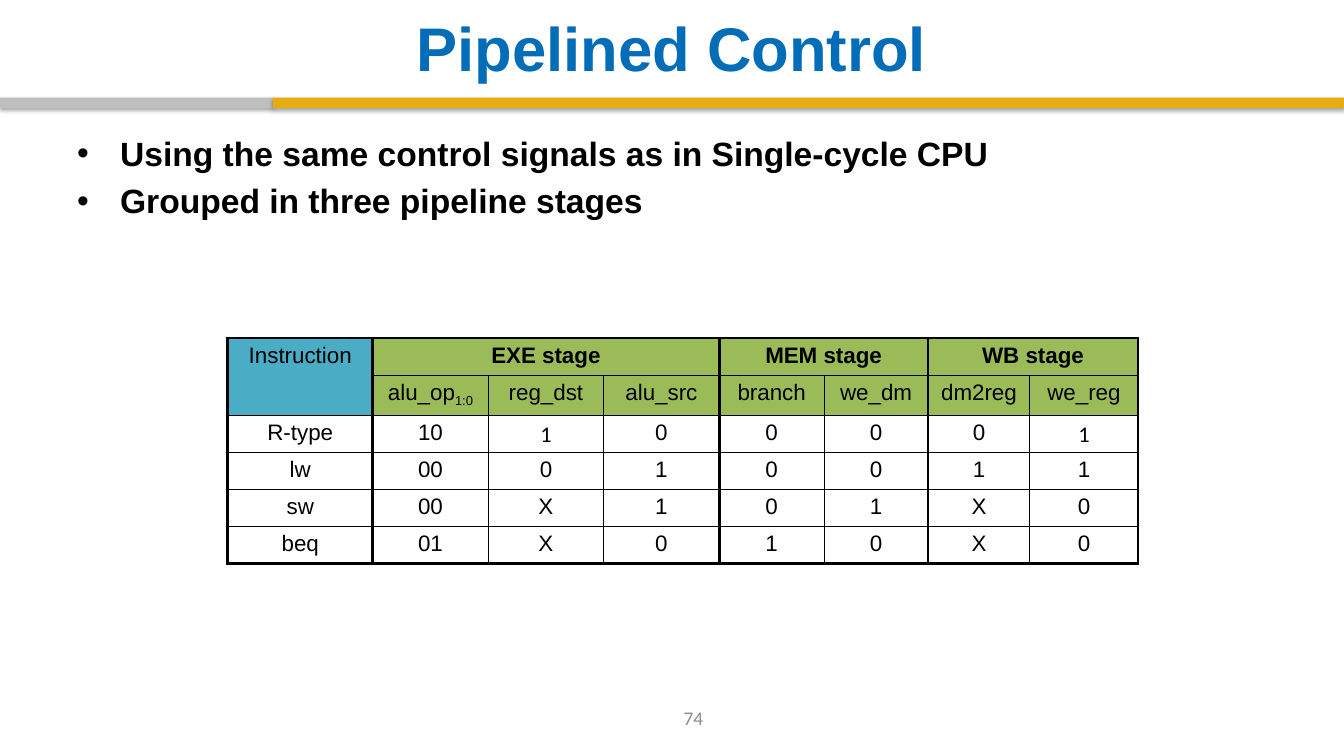
"""Build the Pipelined Control slide with its table of control signals."""
import lxml.etree
import pptx
import pptx.dml.color
import pptx.enum.shapes
import pptx.enum.text
import pptx.oxml
import pptx.oxml.ns
import pptx.util

EMU_PER_PX = 9525
BLUE, GOLD, GREY, BLACK = "036DB7", "E7AC11", "BFBFBF", "000000"
TEAL, GREEN, WHITE = "4BACC6", "9BBB59", "FFFFFF"
CENTER = pptx.enum.text.PP_ALIGN.CENTER
TOP = pptx.enum.text.MSO_ANCHOR.TOP
MIDDLE = pptx.enum.text.MSO_ANCHOR.MIDDLE

TITLE_FONT = {"name": "Arial", "size": 44, "bold": True, "color": BLUE}
BODY_FONT = {"name": "Arial", "size": 24, "bold": True, "color": BLACK}
CELL_FONT = {"name": "Arial", "size": 16, "bold": False, "color": BLACK}
NUMBER_FONT = {"name": "Calibri", "size": 13.8, "color": "8C8C8C"}

STAGES = {"EXE stage": (1, 3), "MEM stage": (4, 5), "WB stage": (6, 7)}
SIGNALS = ["alu_op", "reg_dst", "alu_src", "branch", "we_dm", "dm2reg", "we_reg"]
INSTRUCTIONS = [
    ["R-type", "10", "1", "0", "0", "0", "0", "1"],
    ["lw", "00", "0", "1", "0", "0", "1", "1"],
    ["sw", "00", "X", "1", "0", "1", "X", "0"],
    ["beq", "01", "X", "0", "1", "0", "X", "0"],
]
CALIBRI_CELLS = {(2, 2), (2, 7)}
COLUMN_WIDTHS = [138, 110, 110, 110, 100, 99, 97, 103]
ROW_HEIGHT = 35
GROUP_STARTS = {0, 1, 4, 6, 8}
THIN, THICK = 0.75, 2.25


def px(*lengths):
    """Turn pixel lengths into EMU."""
    return [pptx.util.Emu(length * EMU_PER_PX) for length in lengths]


def set_color(target, value):
    """Give a fill or font a solid colour from a hex string."""
    fill = getattr(target, "fill", target)
    fill.solid()
    fill.fore_color.rgb = pptx.dml.color.RGBColor.from_string(value)


def add_run(paragraph, text, style):
    """Append a run that carries the format values of a style."""
    run = paragraph.add_run()
    run.text = text
    values = dict(style, size=pptx.util.Pt(style["size"]))
    set_color(run.font, values.pop("color"))
    for name, value in values.items():
        setattr(run.font, name, value)
    return run


def add_text(slide, box, lines, style, align=None, anchor=TOP):
    """Add a text box with one paragraph per line and return its paragraphs."""
    frame = slide.shapes.add_textbox(*px(*box)).text_frame
    frame.word_wrap = True
    frame.vertical_anchor = anchor
    for index, line in enumerate(lines):
        paragraph = frame.add_paragraph() if index else frame.paragraphs[0]
        paragraph.alignment = align
        add_run(paragraph, line, style)
    return frame.paragraphs


def add_bullets(slide, box, lines, style):
    """Add a bulleted list with hanging indents."""
    (indent,) = px(41)
    for index, paragraph in enumerate(add_text(slide, box, lines, style)):
        properties = paragraph._p.get_or_add_pPr()
        properties.set("marL", str(indent))
        properties.set("indent", str(-indent))
        for tag, name, value in [("a:buFont", "typeface", "Arial"),
                                 ("a:buChar", "char", "•")]:
            bullet = lxml.etree.SubElement(properties, pptx.oxml.ns.qn(tag))
            bullet.set(name, value)
        if index:
            paragraph.space_before = pptx.util.Pt(5)


def add_bar(slide, box, color):
    """Add a borderless rectangle with a soft shadow below it."""
    bar = slide.shapes.add_shape(
        pptx.enum.shapes.MSO_SHAPE.RECTANGLE, *px(*box))
    set_color(bar, color)
    bar.line.fill.background()
    bar.shadow.inherit = False
    effects = bar._element.spPr.find(pptx.oxml.ns.qn("a:effectLst"))
    effects.append(pptx.oxml.parse_xml(
        f'<a:outerShdw {pptx.oxml.ns.nsdecls("a")} blurRad="39370" '
        'dist="22860" dir="5400000" rotWithShape="0"><a:srgbClr val="000000">'
        '<a:alpha val="35000"/></a:srgbClr></a:outerShdw>'))


def set_borders(cell, widths):
    """Draw the left, right, top and bottom borders of a cell."""
    properties = cell._tc.get_or_add_tcPr()
    for side, width in zip("LRTB", widths):
        properties.append(pptx.oxml.parse_xml(
            f'<a:ln{side} {pptx.oxml.ns.nsdecls("a")} '
            f'w="{pptx.util.Pt(width)}"><a:solidFill>'
            f'<a:srgbClr val="{BLACK}"/></a:solidFill></a:ln{side}>'))


def format_cell(table, row, column, text):
    """Fill in one cell, with thick borders around each stage."""
    cell = table.cell(row, column)
    next_column = column + cell.span_width if cell.is_merge_origin else column + 1
    edges = (column in GROUP_STARTS, next_column in GROUP_STARTS,
             row == 0, row == len(table.rows) - 1)
    set_borders(cell, [THICK if edge else THIN for edge in edges])
    set_color(cell, WHITE if row > 1 else GREEN if column else TEAL)
    style = dict(CELL_FONT, bold=text in STAGES)
    if (row, column) in CALIBRI_CELLS:
        style["name"] = "Calibri"
    paragraph = cell.text_frame.paragraphs[0]
    paragraph.alignment = CENTER
    add_run(paragraph, text, style)
    if text == "alu_op":
        subscript = add_run(paragraph, "1:0", style)
        subscript._r.get_or_add_rPr().set("baseline", "-25000")


def add_signal_table(slide, left, top):
    """Add the table of control signals grouped by pipeline stage."""
    stage_row = ["Instruction"] + [""] * len(SIGNALS)
    for stage, (first, last) in STAGES.items():
        stage_row[first] = stage
    rows = [stage_row, [""] + SIGNALS] + INSTRUCTIONS
    size = (sum(COLUMN_WIDTHS), ROW_HEIGHT * len(rows))
    table = slide.shapes.add_table(
        len(rows), len(COLUMN_WIDTHS), *px(left, top, *size)).table
    table.first_row = table.horz_banding = False
    for column, width in zip(table.columns, px(*COLUMN_WIDTHS)):
        column.width = width
    table.cell(0, 0).merge(table.cell(1, 0))
    for first, last in STAGES.values():
        table.cell(0, first).merge(table.cell(0, last))
    for row, texts in enumerate(rows):
        for column, text in enumerate(texts):
            if text:
                format_cell(table, row, column, text)


def main():
    """Build the slide and save it."""
    presentation = pptx.Presentation()
    presentation.slide_width, presentation.slide_height = px(1280, 720)
    slide = presentation.slides.add_slide(presentation.slide_layouts[6])
    add_bar(slide, (0, 93, 260, 10), GREY)
    add_bar(slide, (260, 93, 1020, 10), GOLD)
    add_text(slide, (64, 8, 1152, 73), ["Pipelined Control"], TITLE_FONT,
             CENTER, MIDDLE)
    add_bullets(slide, (64, 122, 1152, 521), [
        "Using the same control signals as in Single-cycle CPU",
        "Grouped in three pipeline stages"], BODY_FONT)
    add_text(slide, (511, 665, 299, 38), ["74"], NUMBER_FONT, CENTER, MIDDLE)
    add_signal_table(slide, 217, 322)
    presentation.save("out.pptx")


if __name__ == "__main__":
    main()
